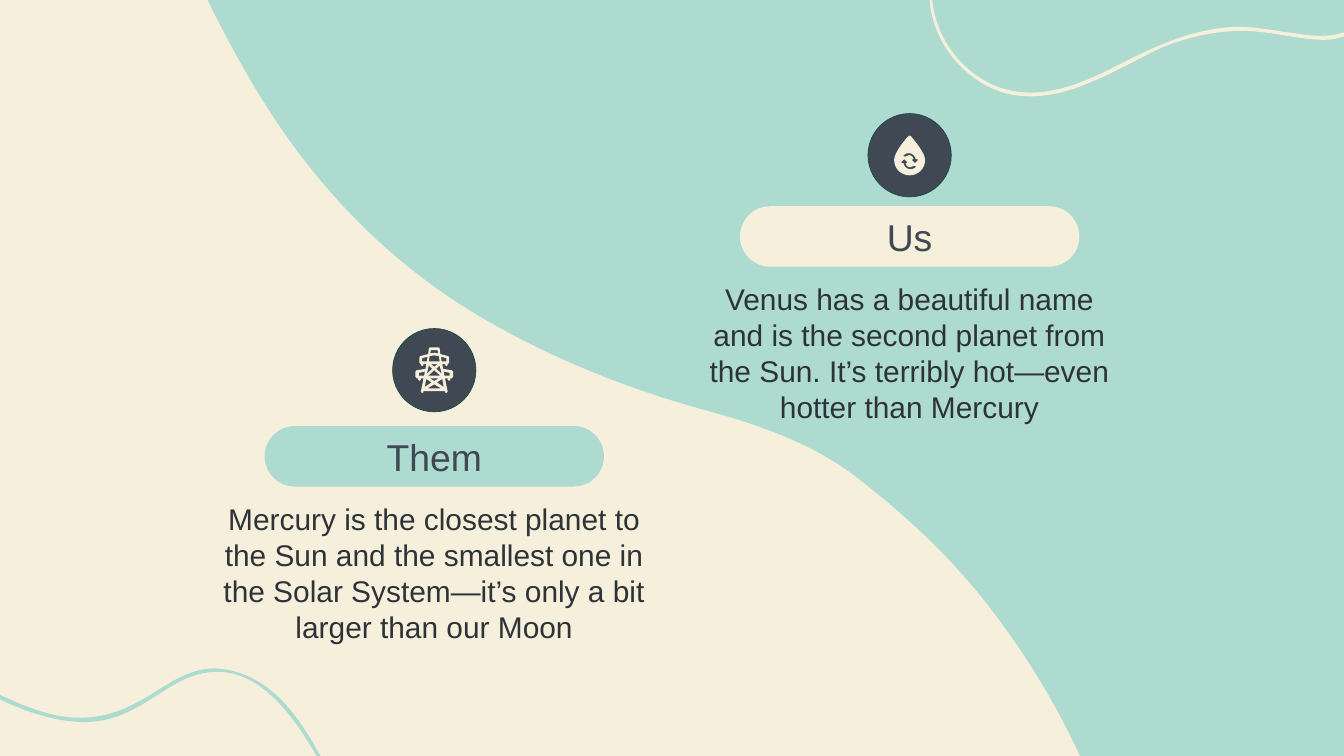
from lxml import etree
from pptx import Presentation
from pptx.dml.color import RGBColor
from pptx.enum.shapes import MSO_SHAPE
from pptx.enum.text import MSO_ANCHOR, MSO_AUTO_SIZE, PP_ALIGN
from pptx.oxml.ns import qn
from pptx.util import Pt

CREAM = RGBColor(0xF6, 0xEF, 0xDC)
MINT = RGBColor(0xAD, 0xDB, 0xD0)
SLATE = RGBColor(0x3F, 0x48, 0x53)
INK = RGBColor(0x2E, 0x33, 0x38)
TEAL = RGBColor(0x16, 0x4A, 0x4A)

PILL, DISC = MSO_SHAPE.ROUNDED_RECTANGLE, MSO_SHAPE.OVAL
TOP, MIDDLE = MSO_ANCHOR.TOP, MSO_ANCHOR.MIDDLE
CENTER, FIXED = PP_ALIGN.CENTER, MSO_AUTO_SIZE.NONE

UNIT = 0.72  # points per outline unit

# In an outline a pair is a corner and six numbers are a Bezier curve.
HILL = [
    (296, -37), (297, -23, 305, -11, 310, 2), (330, 43, 352, 84, 375, 123),
    (462, 271, 577, 393, 728, 479), (830, 537, 938, 580, 1052, 611),
    (1131, 633, 1209, 659, 1277, 712), (1352, 770, 1421, 835, 1479, 912),
    (1611, 1086, 1686, 1283, 1710, 1502), (1720, 1607, 1723, 1714, 1731, 1820),
    (1737, 1894, 1749, 1966, 1773, 2037), (1812, 2145, 1879, 2229, 1978, 2286),
    (1989, 2293, 2001, 2301, 2014, 2301), (2017, 2301, 2019, 2300, 2021, 2300),
    (2021, -37)]
LOW_WAVE = [
    (-264, 1123), (-234, 1060, -184, 998, -108, 1002),
    (-66, 1005, -28, 1028, 9, 1045), (42, 1060, 76, 1071, 112, 1074),
    (144, 1077, 175, 1069, 203, 1053), (234, 1037, 260, 1013, 294, 1004),
    (383, 978, 443, 1074, 479, 1139), (480, 1142, 485, 1139, 483, 1136),
    (449, 1073, 406, 1003, 326, 995), (291, 992, 260, 1011, 232, 1029),
    (194, 1053, 158, 1070, 112, 1068), (67, 1066, 25, 1046, -15, 1027),
    (-50, 1011, -86, 995, -125, 996), (-194, 999, -241, 1063, -268, 1120),
    (-270, 1124, -265, 1126, -264, 1123)]
TOP_WAVE = [
    (1383, -16), (1381, 39, 1410, 89, 1454, 119), (1507, 156, 1569, 146, 1624, 122),
    (1658, 108, 1689, 90, 1722, 74), (1760, 57, 1802, 47, 1844, 46),
    (1884, 45, 1922, 57, 1962, 59), (1989, 61, 2018, 52, 2035, 29),
    (2037, 27, 2034, 23, 2032, 26), (2009, 55, 1971, 56, 1937, 51),
    (1904, 47, 1872, 40, 1838, 40), (1774, 43, 1718, 69, 1662, 98),
    (1605, 127, 1541, 154, 1477, 126), (1422, 101, 1385, 43, 1387, -17),
    (1388, -20, 1383, -20, 1383, -16)]

DROP = [
    (0, -38), (-1, -38, -2, -38, -2, -37), (-8, -31, -23, -12, -23, -2),
    (-23, 11, -13, 21, 0, 21), (13, 21, 23, 11, 23, -2),
    (23, -12, 8, -30, 2, -37), (2, -38, 0, -38, 0, -38)]
ARROW = [
    (-1, -12), (1, -12, 4, -11, 6, -9), (8, -7, 9, -5, 9, -3),
    (10, -4, 11, -4, 12, -3), (13, -3, 13, -2, 12, -1), (9, 2), (8, 3), (7, 2),
    (4, -1), (3, -2, 3, -3, 4, -3), (5, -4, 6, -4, 6, -3),
    (6, -5, 5, -6, 4, -7), (3, -8, 1, -9, -1, -9), (-3, -9, -5, -8, -6, -7),
    (-7, -6, -8, -6, -9, -7), (-9, -7, -9, -8, -9, -9),
    (-7, -11, -4, -12, -1, -12)]
WATER = [DROP, ARROW, [tuple(-v for v in step) for step in ARROW]]

# The pylon is symmetric about x = 0, so only left halves are listed.
FRAME = [
    (0, 0), (-6, 0), (-8, 1), (-9, 10), (-21, 13), (-22, 15), (-22, 23),
    (-20, 25), (-20, 26), (-18, 28), (-16, 26), (-16, 25), (-12, 25), (-13, 32),
    (-26, 34), (-28, 36), (-28, 44), (-26, 46), (-24, 46), (-24, 48), (-22, 50),
    (-20, 48), (-20, 46), (-16, 46), (-20, 66), (-18, 68), (-16, 67), (-16, 65)]
MIDDLE_GAPS = [
    [(0, 4), (-5, 4), (-6, 9), (0, 8)],
    [(0, 12), (-7, 13), (-8, 21)],
    [(-5, 25), (0, 29)],
    [(0, 34), (-9, 42)],
    [(-7, 46), (0, 50)],
    [(0, 55), (-10, 61)]]
SIDE_GAPS = [
    [(-10, 14), (-11, 21), (-18, 21), (-18, 16)],
    [(-8, 27), (-3, 32), (-11, 39)],
    [(-14, 36), (-15, 42), (-23, 42), (-23, 38)],
    [(-12, 47), (-4, 52), (-14, 59)]]


def flip(half):
    return [(-x, y) for x, y in reversed(half) if x]


PYLON = [half + flip(half) for half in [FRAME] + MIDDLE_GAPS]
PYLON += SIDE_GAPS + [flip(gap) for gap in SIDE_GAPS]


def assign(target, values):
    for name, value in values.items():
        setattr(target, name, value)


class Deck:
    LABEL = {"name": "Arial", "size": Pt(40), "color": SLATE}
    BODY = {"name": "Arial", "size": Pt(32), "color": INK}
    FRAME = {"margin_left": 0, "margin_right": 0, "margin_top": 0,
             "margin_bottom": 0, "word_wrap": True, "auto_size": FIXED}

    def __init__(self, slide):
        self.shapes = slide.shapes

    def paint(self, shape, fill, line=None):
        shape.shadow.inherit = False
        shape.fill.solid()
        shape.fill.fore_color.rgb = fill
        if line is None:
            shape.line.fill.background()
        else:
            shape.line.color.rgb = line
            shape.line.width = Pt(0.75)

    def outline(self, outlines, fill, left=0, top=0):
        """Draw outlines as one shape; inner outlines become holes."""
        def place(x, y):
            return Pt(left + x * UNIT), Pt(top + y * UNIT)

        build = None
        for item in outlines:
            ends = [place(*step[-2:]) for step in item]
            if build is None:
                build = self.shapes.build_freeform(*ends[0])
            else:
                build.move_to(*ends[0])
            build.add_line_segments(ends[1:], close=True)
        shape = build.convert_to_shape()
        self.paint(shape, fill)
        steps = [step for item in outlines for step in item[1:]]
        lines = list(shape._element.iter(qn("a:lnTo")))
        for step, line in zip(steps, lines):
            if len(step) == 6:
                self.bend(line, [place(*step[i:i + 2]) for i in (0, 2)], shape)

    def bend(self, line, pulls, shape):
        """Make a line of a path a curve with two control points."""
        line.tag = qn("a:cubicBezTo")
        for i, (x, y) in enumerate(pulls):
            point = etree.Element(qn("a:pt"), x=str(x - shape.left), y=str(y - shape.top))
            line.insert(i, point)

    def shape(self, kind, mid, top, width, height, fill, line=None):
        shape = self.shapes.add_shape(
            kind, Pt(mid - width / 2), Pt(top), Pt(width), Pt(height))
        if kind == PILL:
            shape.adjustments[0] = 0.5
        self.paint(shape, fill, line)

    def text(self, words, mid, top, height, style, anchor, box=None):
        """Centre words in a given placeholder or in a new text box."""
        width = 456.5
        box = box or self.shapes.add_textbox(0, 0, 0, 0)
        assign(box, {"left": Pt(mid - width / 2), "top": Pt(top),
                     "width": Pt(width), "height": Pt(height)})
        frame = box.text_frame
        assign(frame, {**self.FRAME, "vertical_anchor": anchor})
        para = frame.paragraphs[0]
        para.alignment = CENTER
        run = para.add_run()
        run.text = words
        assign(run.font, {k: v for k, v in style.items() if k != "color"})
        run.font.color.rgb = style["color"]
        self.shapes._spTree.append(box._element)

    def card(self, label, body, mid, disc, pill, fill, icon, rise, box=None):
        """Stack a disc with its icon, a labelled pill and a text."""
        size = 89.3
        self.shape(DISC, mid, disc, size, size, SLATE, TEAL)
        self.outline(icon, CREAM, mid, disc + rise)
        self.shape(PILL, mid, pill, 363.6, 64.8, fill)
        self.text(label, mid, pill + 1.8, 62, self.LABEL, MIDDLE, box)
        self.text(body, mid, pill + 80, 164, self.BODY, TOP)


def main():
    show = Presentation()
    show.slide_width, show.slide_height = Pt(1440), Pt(810)
    slide = show.slides.add_slide(show.slide_layouts[5])
    slide.background.fill.solid()
    slide.background.fill.fore_color.rgb = CREAM

    deck = Deck(slide)
    for wave, fill in ((HILL, MINT), (LOW_WAVE, MINT), (TOP_WAVE, CREAM)):
        deck.outline([wave], fill)
    deck.card("Them", "Mercury is the closest planet to the Sun and the smallest one "
              "in the Solar System—it’s only a bit larger than our Moon",
              465.3, 352, 456.5, MINT, PYLON, 20.2, slide.shapes.title)
    deck.card("Us", "Venus has a beautiful name and is the second planet from the Sun. "
              "It’s terribly hot—even hotter than Mercury",
              974.6, 121.7, 221, CREAM, WATER, 51)
    show.save("out.pptx")


if __name__ == "__main__":
    main()
